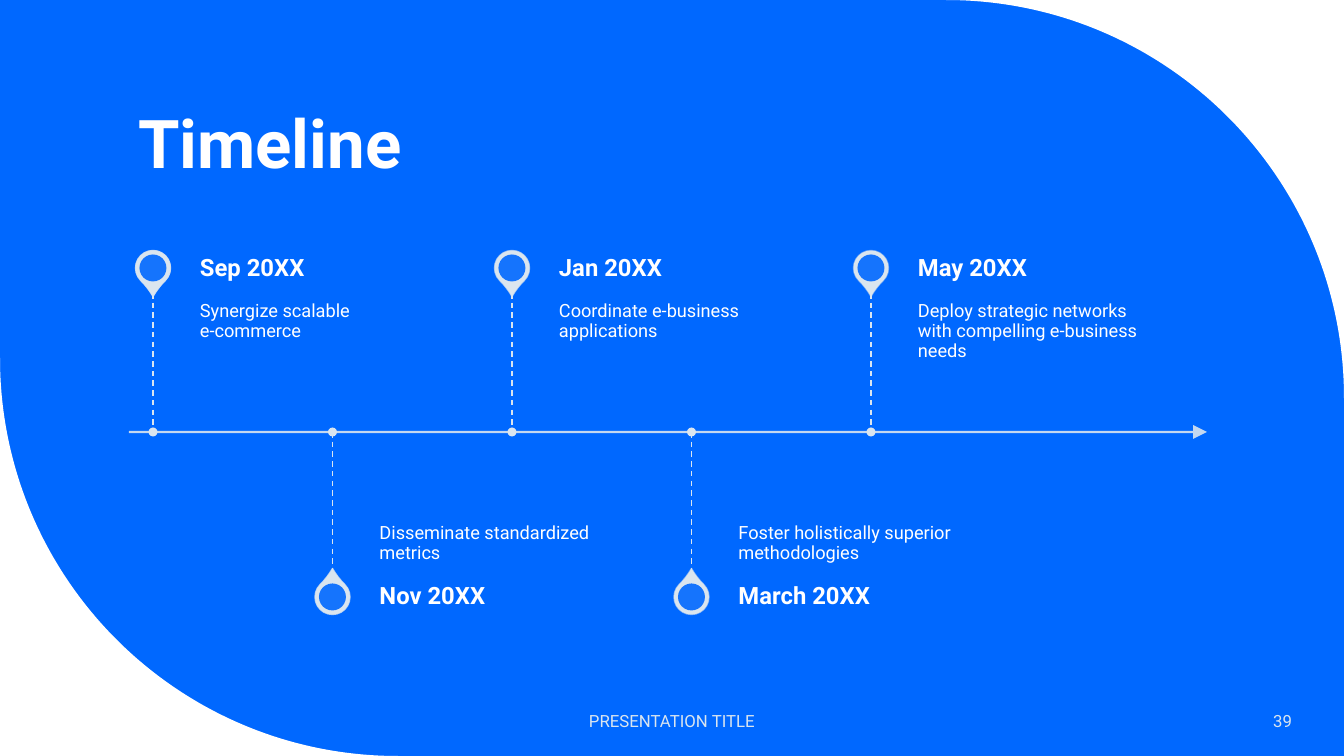
from copy import deepcopy

from lxml.etree import SubElement
from pptx import Presentation
from pptx.dml.color import RGBColor
from pptx.enum.dml import MSO_LINE_DASH_STYLE as DASH
from pptx.enum.shapes import MSO_CONNECTOR, MSO_SHAPE
from pptx.enum.text import MSO_ANCHOR as ANCHOR, MSO_AUTO_SIZE, PP_ALIGN as ALIGN
from pptx.oxml.ns import qn
from pptx.util import Pt

# Content
TITLE = "Timeline"
FOOTER = "PRESENTATION TITLE"
PAGE = "39"
MILESTONES = [
    ("Sep 20XX", "Synergize scalable\ne-commerce"),
    ("Nov 20XX", "Disseminate standardized metrics"),
    ("Jan 20XX", "Coordinate e-business applications"),
    ("March 20XX", "Foster holistically superior methodologies"),
    ("May 20XX", "Deploy strategic networks with compelling e-business needs"),
]
COLORS = {"blue": "0068FF", "white": "FFFFFF", "pale": "DAE5EF"}
FONT = "Roboto"

# Layout in px
WIDTH, HEIGHT = 1344, 756
SCALE = 12192000 / WIDTH
RADIUS, HANDLE = 398, 178
AXIS_LEFT, AXIS_RIGHT, AXIS_Y = 129, 1207, 432
FIRST_X, LAST_X = 153, 871
STEM_TOP, STEM_BOTTOM = 293, 572
PIN, HOLE, DOT = 35, 27, 9
PIN_GAP = 25
TEXT_GAP, TEXT_W, DATE_H = 47, 255, 49


def emu(px):
    return round(px * SCALE)


def rgb(name):
    return RGBColor.from_string(COLORS[name])


def set_alpha(fill_parent, percent):
    color = fill_parent.find(".//" + qn("a:srgbClr"))
    SubElement(color, qn("a:alpha")).set("val", str(percent * 1000))


def write(sp, text, size, color="white", bold=False, align=ALIGN.LEFT,
          anchor=ANCHOR.MIDDLE, spacing=None, insets=None):
    tf = sp.text_frame
    tf.word_wrap = True
    tf.auto_size = MSO_AUTO_SIZE.NONE
    tf.vertical_anchor = anchor
    if insets:
        (tf.margin_left, tf.margin_top,
         tf.margin_right, tf.margin_bottom) = map(emu, insets)
    p = tf.paragraphs[0]
    p.text = text
    p.alignment = align
    if spacing:
        p.line_spacing = spacing
    for r in p.runs:
        r.font.name, r.font.size, r.font.bold = FONT, Pt(size), bold
        r.font.color.rgb = rgb(color)
    # Line breaks take the size of the text around them
    for br in p._p.findall(qn("a:br")):
        br.append(deepcopy(p.runs[0]._r.rPr))


def add_text(x, y, w, h, text, size, **fmt):
    write(s.shapes.add_textbox(*map(emu, (x, y, w, h))), text, size, **fmt)


def fill_plain(sp, color):
    sp.shadow.inherit = False
    sp.fill.solid()
    sp.fill.fore_color.rgb = rgb(color)
    sp.line.fill.background()


def add_mark(kind, x, y, size, color):
    box = (x - size / 2, y - size / 2, size, size)
    sp = s.shapes.add_shape(kind, *map(emu, box))
    fill_plain(sp, color)
    return sp


def add_line(x1, y1, x2, y2, width):
    line = s.shapes.add_connector(MSO_CONNECTOR.STRAIGHT, *map(emu, (x1, y1, x2, y2)))
    line.line.color.rgb = rgb("pale")
    line.line.width = Pt(width)
    SubElement(line._element.spPr, qn("a:effectLst"))
    return line


def add_corner(x, y, dx, dy):
    """White corner at x, y; dx and dy point into the slide."""
    builder = s.shapes.build_freeform(x, y, scale=SCALE)
    builder.add_line_segments([(x + dx * RADIUS, y), (x, y + dy * RADIUS)], close=True)
    sp = builder.convert_to_shape()
    fill_plain(sp, "white")
    # Bend the slanted side into a quarter circle
    left, top = min(x, x + dx * RADIUS), min(y, y + dy * RADIUS)
    side = sp._element.findall(".//" + qn("a:lnTo"))[1]
    side.tag = qn("a:cubicBezTo")
    for i, (px, py) in enumerate([(x + dx * HANDLE, y), (x, y + dy * HANDLE)]):
        pt = SubElement(side, qn("a:pt"))
        pt.set("x", str(px - left))
        pt.set("y", str(py - top))
        side.insert(i, pt)


prs = Presentation()
prs.slide_width, prs.slide_height = emu(WIDTH), emu(HEIGHT)
s = prs.slides.add_slide(prs.slide_layouts[5])

# Background with two rounded corners
s.background.fill.solid()
s.background.fill.fore_color.rgb = rgb("blue")
add_corner(WIDTH, 0, -1, 1)
add_corner(0, HEIGHT, 1, -1)

# Title
title = s.shapes.title
title.left, title.top, title.width, title.height = map(emu, (128, 0, 1078, 188))
write(title, TITLE, 48, bold=True, anchor=ANCHOR.BOTTOM, spacing=0.9)

# Axis
axis = add_line(AXIS_LEFT, AXIS_Y, AXIS_RIGHT, AXIS_Y, 1.5)
ln = axis.line._get_or_add_ln()
set_alpha(ln, 90)
head = SubElement(ln, qn("a:tailEnd"))
for key, value in (("type", "triangle"), ("w", "lg"), ("len", "lg")):
    head.set(key, value)

# Milestones, alternating above and below the axis
step = (LAST_X - FIRST_X) / (len(MILESTONES) - 1)
for i, (date, detail) in enumerate(MILESTONES):
    above = i % 2 == 0
    x = FIRST_X + i * step
    stem_y = STEM_TOP if above else STEM_BOTTOM
    pin_y = stem_y - PIN_GAP if above else stem_y + PIN_GAP

    pin = add_mark(MSO_SHAPE.TEAR, x, pin_y, PIN, "pale")
    pin.adjustments[0] = 1.15
    pin.rotation = 135 if above else 315
    pin.line.color.rgb = rgb("pale")
    pin.line.width = Pt(1)
    set_alpha(pin.line._get_or_add_ln(), 90 - 10 * i)
    hole = add_mark(MSO_SHAPE.OVAL, x, pin_y, HOLE, "blue")
    set_alpha(hole._element.spPr, 90)

    text_x = x + TEXT_GAP
    add_text(text_x, min(AXIS_Y, stem_y), TEXT_W, abs(AXIS_Y - stem_y), detail, 13,
             spacing=0.9, anchor=ANCHOR.TOP if above else ANCHOR.BOTTOM,
             insets=(0, 9, 9, 14) if above else (0, 14, 0, 9))
    add_text(text_x, stem_y - DATE_H if above else stem_y, TEXT_W, DATE_H, date, 17,
             bold=True, spacing=0.9, insets=(0, 0, 12, 0))

    stem = add_line(x, min(AXIS_Y, stem_y), x, max(AXIS_Y, stem_y), 1)
    stem.line.dash_style = DASH.DASH
    add_mark(MSO_SHAPE.OVAL, x, AXIS_Y, DOT, "pale")

# Footer
add_text(445, 701, 454, 40, FOOTER, 12, color="pale", align=ALIGN.CENTER)
add_text(1119, 701, 183, 40, PAGE, 12, color="pale", align=ALIGN.RIGHT)

prs.save("out.pptx")
